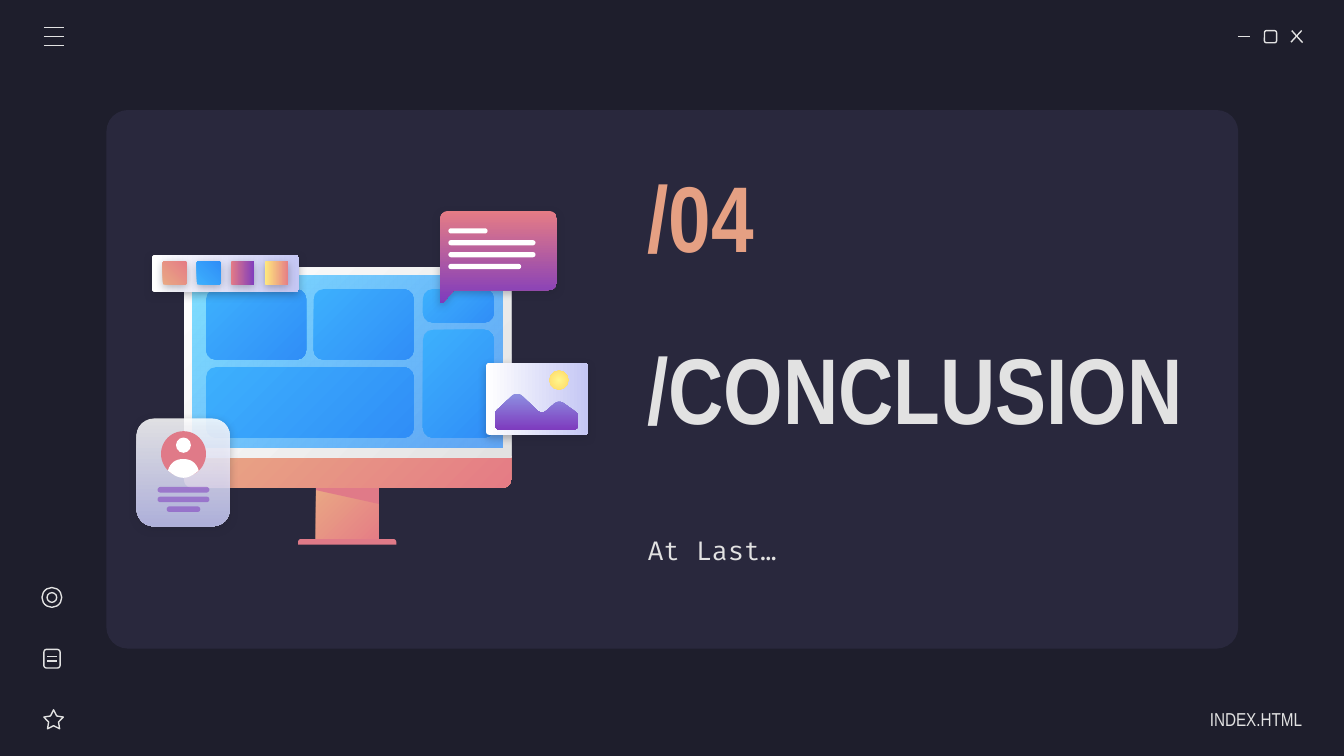
from dataclasses import dataclass, replace

from lxml import etree
from pptx import Presentation
from pptx.dml.color import RGBColor
from pptx.enum import shapes, text
from pptx.oxml import ns
from pptx.util import Pt

KIND = shapes.MSO_SHAPE
LIGHT, WHITE, ROSE = "E2E2E2", "FFFFFF", "E07A88"


@dataclass(frozen=True)
class Paint:
    """Fill of one or two colours; the angle runs clockwise from left to right."""
    colours: tuple[str, ...]
    angle: int = 0
    alphas: tuple[int, ...] = (100, 100)
    radial: bool = False


@dataclass(frozen=True)
class Block:
    left: float
    top: float
    width: float
    height: float
    paint: Paint | None
    radius: float = 0
    kind: shapes.MSO_SHAPE = KIND.ROUNDED_RECTANGLE
    shadow: bool = False


@dataclass(frozen=True)
class Corner:
    x: float
    y: float
    radius: float = 0


@dataclass(frozen=True)
class Label:
    words: str
    left: float
    top: float
    width: float
    height: float
    size: float
    font: str = "Arial Narrow"
    colour: str = LIGHT
    bold: bool = False
    right: bool = False


SALMON = Paint(("E9A984", "E57C85"), 45)
BLUE = Paint(("3DB0FD", "308EF7"), 45)
SUNSET = Paint(("E57C85", "7E3BBE"), 90)
PAPER = Paint((WHITE, "C5C7F4"))
PLAIN = Paint((WHITE,))
VIOLET = Paint(("7E3BBE",), alphas=(54,))


def colour(value: str) -> RGBColor:
    return RGBColor.from_string(value)


def child(parent, tag: str, **attributes):
    return etree.SubElement(parent, ns.qn(tag), {k: str(v) for k, v in attributes.items()})


def apply_paint(shape, paint: Paint | None) -> None:
    if paint is None:
        shape.fill.background()
        return
    properties = shape._element.spPr
    if len(paint.colours) == 1:
        shape.fill.solid()
        shape.fill.fore_color.rgb = colour(paint.colours[0])
    else:
        shape.fill.gradient()
        shape.fill.gradient_angle = -paint.angle % 360
        for stop, value in zip(shape.fill.gradient_stops, paint.colours):
            stop.color.rgb = colour(value)
        if paint.radial:
            gradient = properties.find(ns.qn("a:gradFill"))
            gradient.remove(gradient.find(ns.qn("a:lin")))
            centre = child(gradient, "a:path", path="circle")
            child(centre, "a:fillToRect", l=50000, t=50000, r=50000, b=50000)
    for node, alpha in zip(list(properties.iter(ns.qn("a:srgbClr"))), paint.alphas):
        if alpha < 100:
            child(node, "a:alpha", val=alpha * 1000)


def finish(shape, paint: Paint | None, shadow: bool = False) -> None:
    """Set fill, line and shadow; a shape without fill gets a thin light line."""
    apply_paint(shape, paint)
    if paint is None:
        shape.line.color.rgb = colour(LIGHT)
        shape.line.width = Pt(0.75)
    else:
        shape.line.fill.background()
    shape.shadow.inherit = False
    if shadow:
        effects = shape._element.spPr.find(ns.qn("a:effectLst"))
        outer = child(effects, "a:outerShdw", blurRad=Pt(4.5), dist=Pt(1.5), dir=5400000,
                      algn="bl", rotWithShape=0)
        child(child(outer, "a:srgbClr", val="1E1E2C"), "a:alpha", val=30000)


def draw_block(page, block: Block) -> None:
    shape = page.shapes.add_shape(block.kind, Pt(block.left), Pt(block.top),
                                  Pt(block.width), Pt(block.height))
    if block.kind in (KIND.ROUNDED_RECTANGLE, KIND.ROUND_2_SAME_RECTANGLE):
        shape.adjustments[0] = block.radius / min(block.width, block.height)
    if block.kind == KIND.STAR_5_POINT:
        shape.adjustments[0] = 0.254
    finish(shape, block.paint, block.shadow)


def draw_line(page, x1: float, y1: float, x2: float, y2: float) -> None:
    line = page.shapes.add_connector(shapes.MSO_CONNECTOR.STRAIGHT, Pt(x1), Pt(y1), Pt(x2), Pt(y2))
    line.line.color.rgb = colour(LIGHT)
    line.line.width = Pt(0.75)
    child(line._element.spPr, "a:effectLst")


def rounded(before: Corner, corner: Corner, after: Corner) -> list[tuple[float, float]]:
    """Points of a quadratic curve that rounds one corner."""
    if not corner.radius:
        return [(corner.x, corner.y)]
    ends = []
    for other in (before, after):
        dx, dy = other.x - corner.x, other.y - corner.y
        share = corner.radius / (dx * dx + dy * dy) ** 0.5
        ends.append((corner.x + dx * share, corner.y + dy * share))
    (ax, ay), (bx, by) = ends
    return [((1 - t) ** 2 * ax + 2 * t * (1 - t) * corner.x + t * t * bx,
             (1 - t) ** 2 * ay + 2 * t * (1 - t) * corner.y + t * t * by)
            for t in (step / 8 for step in range(9))]


def draw_outline(page, corners: list[Corner], paint: Paint, shadow: bool = False) -> None:
    points = []
    for i, corner in enumerate(corners):
        points += rounded(corners[i - 1], corner, corners[(i + 1) % len(corners)])
    start, *rest = [(Pt(x), Pt(y)) for x, y in points]
    builder = page.shapes.build_freeform(*start)
    builder.add_line_segments(rest, close=True)
    finish(builder.convert_to_shape(), paint, shadow)


def draw_label(page, label: Label) -> None:
    box = page.shapes.add_textbox(Pt(label.left), Pt(label.top), Pt(label.width), Pt(label.height))
    frame = box.text_frame
    frame.word_wrap = True
    frame.vertical_anchor = text.MSO_ANCHOR.MIDDLE
    frame.margin_left = frame.margin_top = frame.margin_bottom = Pt(7.2)
    frame.margin_right = Pt(0 if label.right else 7.2)
    frame.text = label.words
    para = frame.paragraphs[0]
    para.alignment = text.PP_ALIGN.RIGHT if label.right else text.PP_ALIGN.LEFT
    span = para.runs[0].font
    span.name, span.size, span.bold = label.font, Pt(label.size), label.bold
    span.color.rgb = colour(label.colour)


def draw_window(page) -> None:
    draw_block(page, Block(57, 59, 606.3, 288.5, Paint(("29283D",)), 11.5))
    for block in (Block(677.4, 16.4, 6.5, 6.5, None, 1.1),
                  Block(23.5, 380.3, 10.5, 10.2, None, kind=KIND.STAR_5_POINT),
                  Block(23.5, 347.9, 8.7, 10, None, 1.5),
                  Block(22.5, 314.8, 10.6, 10.6, None, kind=KIND.OVAL),
                  Block(25.2, 317.5, 5.2, 5.2, None, kind=KIND.OVAL)):
        draw_block(page, block)
    draw_line(page, 663.2, 19.5, 669.6, 19.5)
    draw_line(page, 692, 16.4, 697.8, 22.8)
    draw_line(page, 697.3, 16.4, 691.6, 22.6)
    for row in range(3):
        draw_line(page, 23.5, 14.6 + 4.9 * row, 34.1, 14.6 + 4.9 * row)
    for y in (351.6, 354.1):
        draw_line(page, 25.3, y, 30.4, y)


def draw_monitor(page) -> None:
    top_round = KIND.ROUND_2_SAME_RECTANGLE
    draw_block(page, Block(169.2, 260, 33.8, 31, SALMON, kind=KIND.RECTANGLE))
    draw_block(page, Block(159.7, 288.8, 52.6, 3, Paint((ROSE,)), 1.5, top_round))
    draw_outline(page, [Corner(169.2, 260.6), Corner(169.2, 262.6),
                        Corner(203, 270), Corner(203, 260.6)], Paint((ROSE,)))
    draw_block(page, Block(98.6, 240, 175.2, 21.4, SALMON, 4.5))
    draw_block(page, Block(98.6, 143.2, 175.2, 102, Paint((WHITE, LIGHT), 45), 4.5, top_round))
    draw_block(page, Block(102.9, 147.4, 166.4, 92.6,
                           Paint(("80DFFF", "318FFA"), 45, (100, 72)), kind=KIND.RECTANGLE))
    left, top, wide, high, gap = 110.4, 154.9, 53.6, 37.8, 4
    side = left + 2 * wide + 2 * gap + 1
    for tile in ((left, top, wide, high), (left + wide + gap, top, wide, high),
                 (left, top + high + gap, 2 * wide + gap, high),
                 (side, top, 38, 17.9), (side, top + 21.7, 38, 57.9)):
        draw_block(page, Block(*tile, BLUE, 5.3))


def draw_cards(page) -> None:
    draw_outline(page, [Corner(235.8, 113, 5), Corner(298.4, 113, 5), Corner(298.4, 155.4, 5),
                        Corner(243.2, 155.4), Corner(237.2, 162.4, 0.8),
                        Corner(235.8, 162.4, 0.8)], SUNSET, True)
    for row, width in enumerate((21, 46.7, 46.7, 39)):
        draw_block(page, Block(240.2, 122.3 + 6.35 * row, width, 2.8, PLAIN, 1.4))

    glass = replace(PAPER, angle=90, alphas=(86, 86))
    draw_block(page, Block(73.2, 224.2, 50, 57.8, glass, 9.3, shadow=True))
    draw_block(page, Block(86.3, 231, 24.1, 24.4, Paint((ROSE,)), kind=KIND.OVAL))
    draw_block(page, Block(94.3, 234.4, 8, 8.2, PLAIN, kind=KIND.OVAL))
    draw_outline(page, [Corner(90, 252.1), Corner(92, 245.9, 6.3), Corner(104.5, 245.9, 6.3),
                        Corner(106.5, 252.1), Corner(98.3, 258.6, 8.5)], PLAIN)
    for row, width in enumerate((27.8, 27.8, 18)):
        draw_block(page, Block(98.3 - width / 2, 260.9 + 5.2 * row, width, 3, VIOLET, 1.5))

    draw_block(page, Block(260.4, 194.4, 54.6, 38.6, PAPER, 1.8, shadow=True))
    draw_outline(page, [Corner(265.3, 220.6, 1), Corner(277, 209.5, 4), Corner(290.2, 222.2, 3.5),
                        Corner(299.4, 214.2, 3.5), Corner(309.6, 221.6, 1),
                        Corner(309.6, 230.2, 2.5), Corner(265.3, 230.2, 2.5)],
                 Paint(("8D90E1", "7E3BBE"), 90))
    draw_block(page, Block(294.3, 198.5, 10.3, 10.3, Paint(("FFF68E", "FFD966"), radial=True),
                           kind=KIND.OVAL))

    draw_block(page, Block(81.4, 136.6, 78.7, 19.8, PAPER, 1.4, shadow=True))
    swatches = (replace(SALMON, angle=315), replace(BLUE, angle=315),
                replace(SUNSET, angle=0), Paint(("FFEA7D", "E57C85")))
    for column, paint in enumerate(swatches):
        draw_block(page, Block(87.2 + 18.2 * column, 140, 12.8, 12.5, paint, 0.9, shadow=True))


def main() -> None:
    deck = Presentation()
    deck.slide_width, deck.slide_height = Pt(720), Pt(405)
    page = deck.slides.add_slide(deck.slide_layouts[6])
    page.background.fill.solid()
    page.background.fill.fore_color.rgb = colour("1E1E2C")
    draw_window(page)
    for label in (Label("INDEX.HTML", 613.4, 374.4, 84.2, 21.6, 10, right=True),
                  Label("/CONCLUSION", 339.8, 148.3, 309.6, 118, 50, bold=True),
                  Label("/04", 339.8, 82.1, 128.2, 66.2, 50, colour="E5A083", bold=True),
                  Label("At Last…", 339.8, 266.4, 287.3, 56.2, 14, "Fira Code")):
        draw_label(page, label)
    draw_monitor(page)
    draw_cards(page)
    deck.save("out.pptx")


if __name__ == "__main__":
    main()
